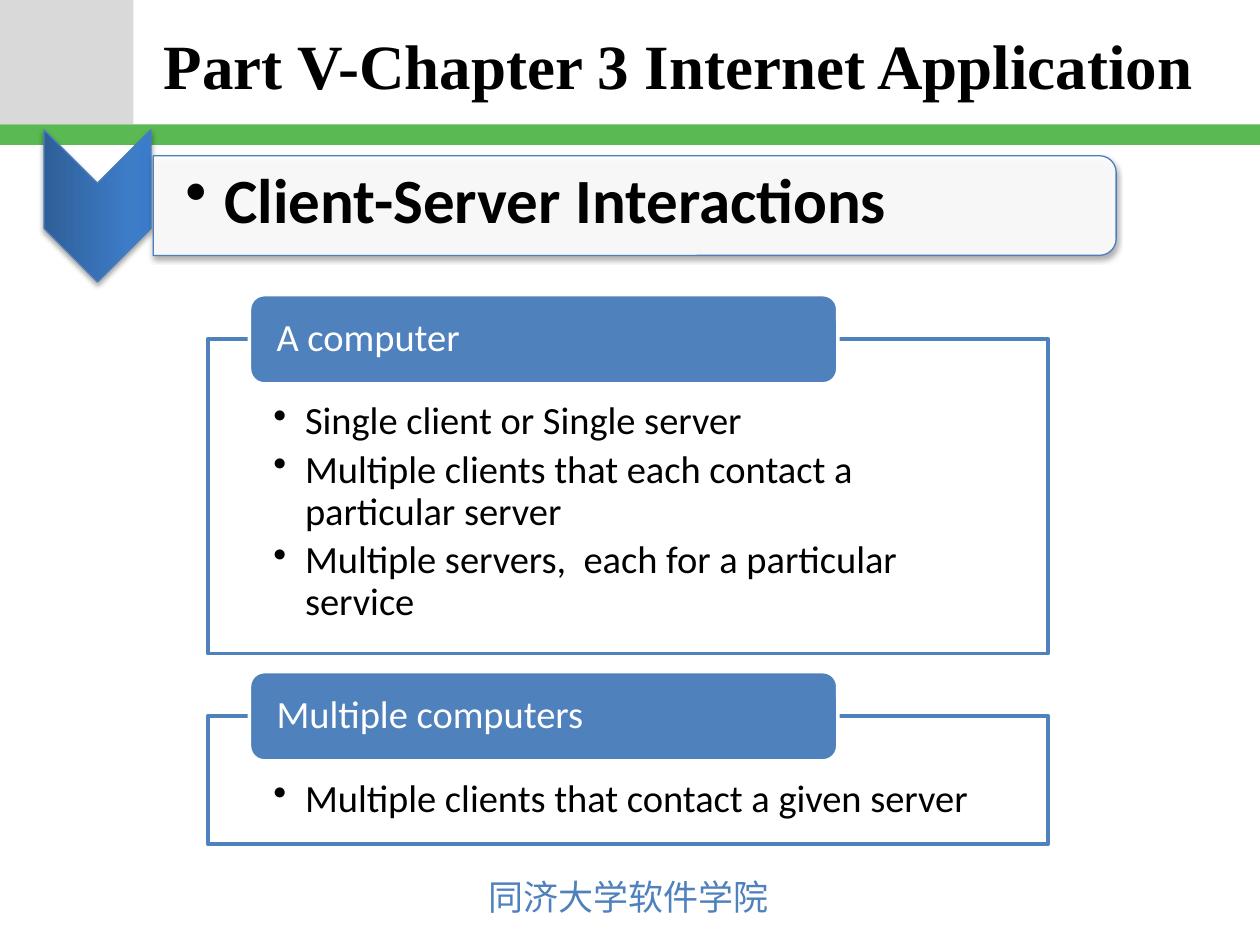
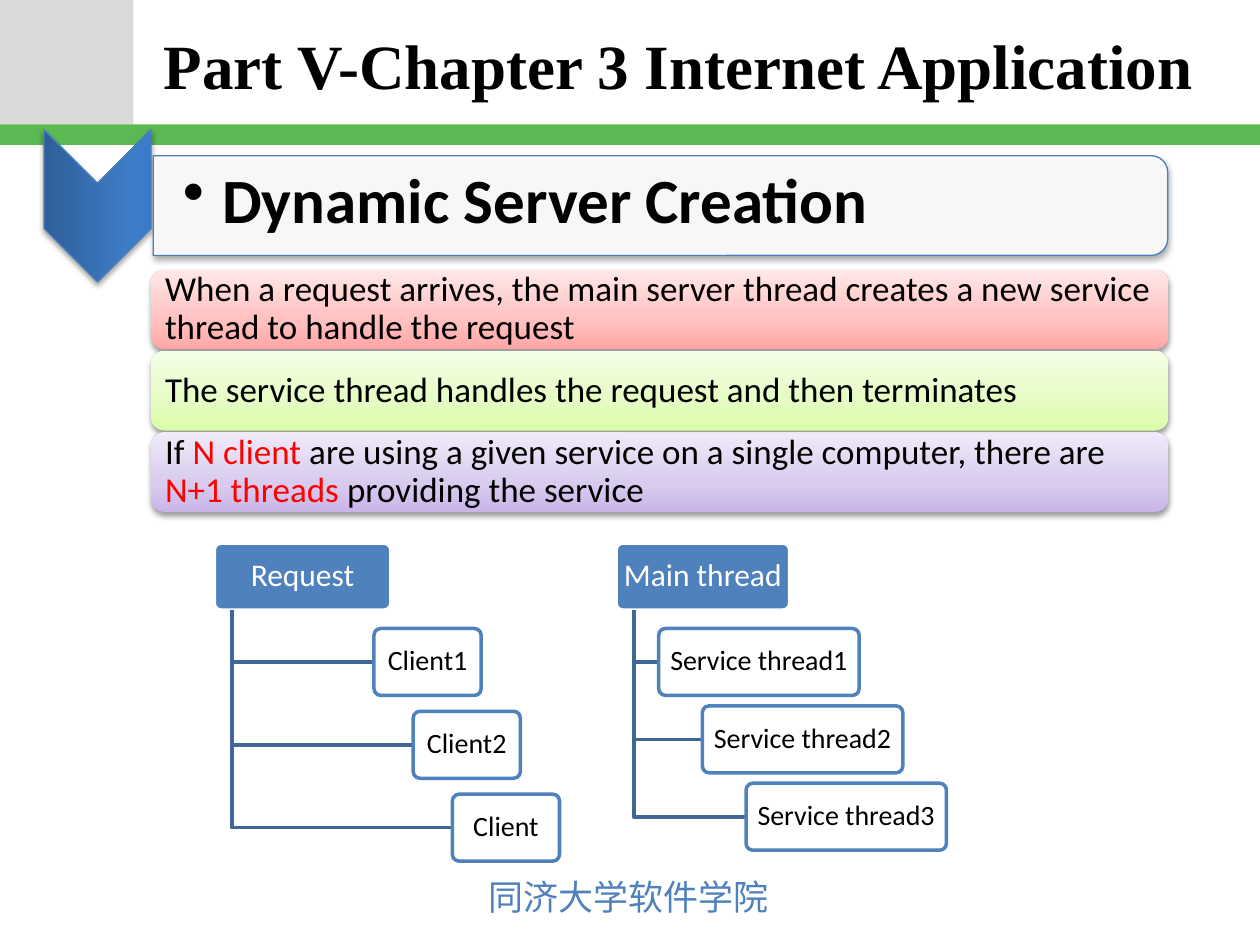
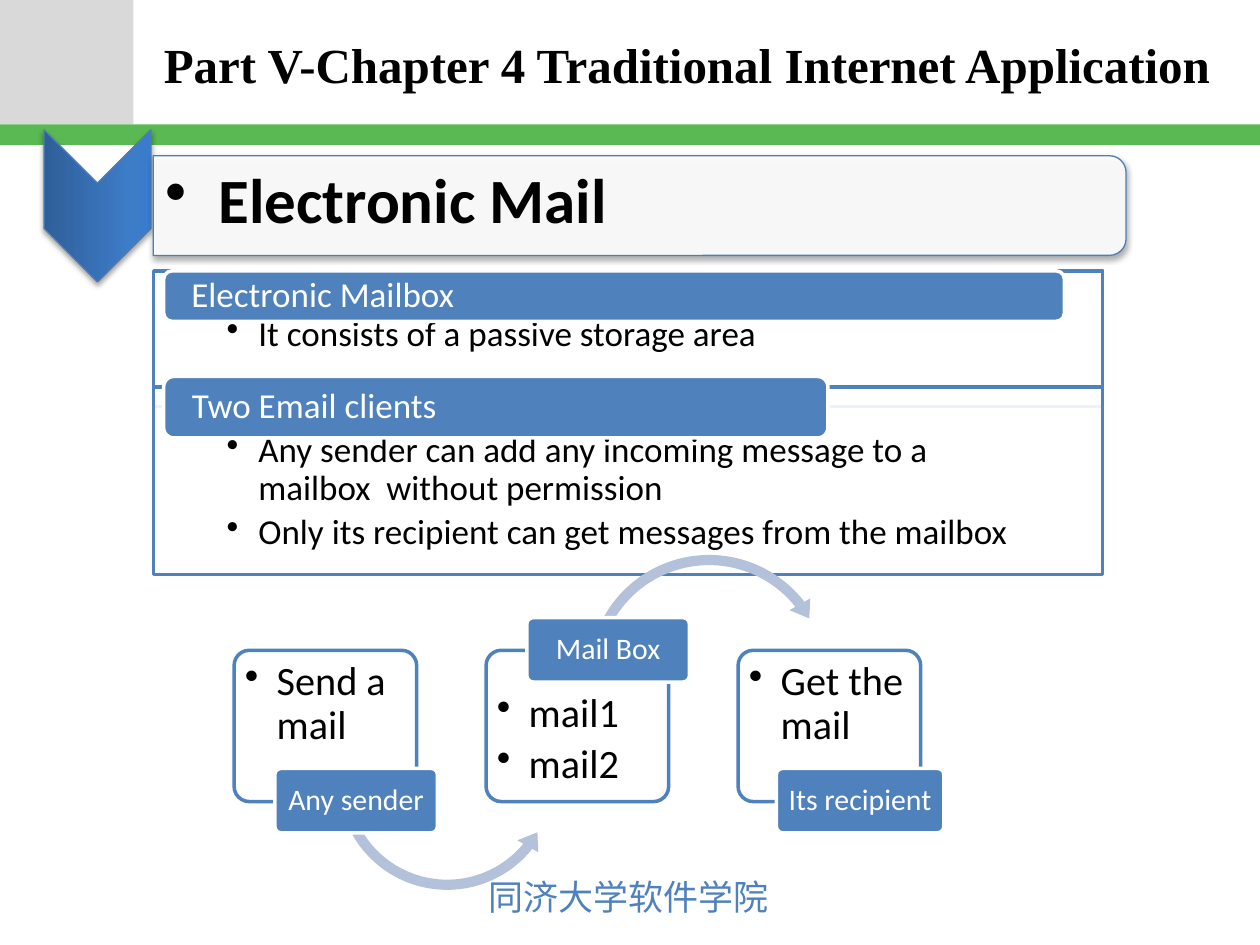
from lxml import etree
from pptx import Presentation
from pptx.dml.color import RGBColor
from pptx.enum.shapes import MSO_SHAPE
from pptx.enum.text import MSO_ANCHOR, MSO_AUTO_SIZE, PP_ALIGN
from pptx.oxml.ns import qn
from pptx.util import Cm, Pt

RECT = MSO_SHAPE.RECTANGLE
ROUND = MSO_SHAPE.ROUNDED_RECTANGLE
CHEVRON = MSO_SHAPE.CHEVRON
TWO_ROUND = MSO_SHAPE.ROUND_2_SAME_RECTANGLE
ARROW_OVER = MSO_SHAPE.CIRCULAR_ARROW
ARROW_UNDER = MSO_SHAPE.LEFT_CIRCULAR_ARROW
TOP, MIDDLE = MSO_ANCHOR.TOP, MSO_ANCHOR.MIDDLE
LEFT, CENTER = PP_ALIGN.LEFT, PP_ALIGN.CENTER

COLORS = {
    "white": "FFFFFF", "black": "000000", "red": "FF0000",
    "gray": "D9D9D9", "green": "5AB953", "blue": "4F81BD",
    "edge": "4B7EBC", "branch": "3F6797", "arrow": "B3C1DB",
}
# Gradient stops as (percent, colour), running from bottom to top
GRADIENTS = {
    "chevron": [(0, "2F5F99"), (80, "3D7CC7"), (100, "3A7CCB")],
    "pink": [(0, "FFA6A5"), (35, "FFC0BF"), (100, "FFE7E7")],
    "lime": [(0, "DAFDA7"), (35, "E4FCC2"), (100, "F5FFE7")],
    "violet": [(0, "C9B5E8"), (35, "D8CBEE"), (100, "F0EAF9")],
}
BODY_FONT, TITLE_FONT, CJK_FONT = "Calibri", "Times New Roman", "Noto Sans CJK JP"
TAB_RISE = 0.89


def rgb(name):
    return RGBColor.from_string(COLORS[name])


class Deck:
    """Holds the shared style and the slide being drawn."""

    def __init__(self):
        self.prs = Presentation()
        self.prs.slide_width, self.prs.slide_height = Cm(25.4), Cm(19.05)
        self.layout = self.prs.slide_layouts[5]
        self.slide = None

    def add_slide(self, title, size, heading, bar_width, text_x):
        first = self.slide is None
        self.slide = self.prs.slides.add_slide(self.layout)
        if first:
            self.fill_layout()
        sp = self.slide.shapes.title
        sp.left, sp.top, sp.width, sp.height = Cm(3.05), Cm(0.05), Cm(21.84), Cm(2.49)
        tf = sp.text_frame
        tf.auto_size = MSO_AUTO_SIZE.NONE
        tf.vertical_anchor = MIDDLE
        p = tf.paragraphs[0]
        p.text, p.alignment = title, LEFT
        self.style(p.runs[0], size, "black", True, TITLE_FONT)
        self.heading(heading, bar_width, text_x)

    def fill_layout(self):
        """Draw the bands and the footer once and move them to the layout."""
        band = self.shape(RECT, 0, 0, 2.69, 2.51, "gray")
        stripe = self.shape(RECT, 0, 2.51, 25.4, 0.41, "green")
        footer = self.slide.shapes.add_textbox(Cm(9.6), Cm(17.53), Cm(6.22), Cm(1.12))
        p = footer.text_frame.paragraphs[0]
        p.text = "同济大学软件学院"
        self.style(p.runs[0], 20, "blue", font=CJK_FONT)
        for sp in (band, stripe, footer):
            self.layout.shapes.element.append(sp.element)

    def style(self, r, size, color, bold=False, font=BODY_FONT):
        r.font.name, r.font.size, r.font.bold = font, Pt(size), bold
        r.font.color.rgb = rgb(color)
        if font == CJK_FONT:
            etree.SubElement(r.font._element, qn("a:ea"), typeface=font)

    def shape(self, kind, x, y, w, h, fill, line=None, width=2, adj=(),
              alpha=None, shadow=None):
        sp = self.slide.shapes.add_shape(kind, Cm(x), Cm(y), Cm(w), Cm(h))
        for i, value in enumerate(adj):
            sp.adjustments[i] = value
        if fill in GRADIENTS:
            self.gradient(sp, GRADIENTS[fill])
        else:
            sp.fill.solid()
            sp.fill.fore_color.rgb = rgb(fill)
        if alpha:
            color = sp.element.spPr.find(qn("a:solidFill"))[0]
            etree.SubElement(color, qn("a:alpha"), val=str(alpha * 1000))
        if line:
            sp.line.color.rgb, sp.line.width = rgb(line), Pt(width)
        else:
            sp.line.fill.background()
        sp.shadow.inherit = False
        if shadow:
            self.drop_shadow(sp, *shadow)
        return sp

    def gradient(self, sp, stops):
        grad = etree.SubElement(sp.element.spPr, qn("a:gradFill"), rotWithShape="1")
        stop_list = etree.SubElement(grad, qn("a:gsLst"))
        for percent, color in stops:
            gs = etree.SubElement(stop_list, qn("a:gs"), pos=str(percent * 1000))
            etree.SubElement(gs, qn("a:srgbClr"), val=color)
        etree.SubElement(grad, qn("a:lin"), ang="16200000", scaled="0")

    def drop_shadow(self, sp, opacity, distance):
        effects = sp.element.spPr.find(qn("a:effectLst"))
        outer = etree.SubElement(effects, qn("a:outerShdw"), blurRad=str(Pt(3.1)),
                                 dist=str(Pt(distance)), dir="5400000", rotWithShape="0")
        color = etree.SubElement(outer, qn("a:srgbClr"), val=COLORS["black"])
        etree.SubElement(color, qn("a:alpha"), val=str(opacity * 1000))

    def text(self, sp, paragraphs, size, color="black", bold=False, align=LEFT,
             anchor=MIDDLE, insets=(0, 0, 0, 0), indent=0):
        """Fill a shape; a paragraph is a string or a list of (text, colour)."""
        tf = sp.text_frame
        tf.word_wrap, tf.vertical_anchor = True, anchor
        tf.margin_left, tf.margin_top, tf.margin_right, tf.margin_bottom = map(Cm, insets)
        for i, content in enumerate(paragraphs):
            p = tf.add_paragraph() if i else tf.paragraphs[0]
            if indent:
                pPr = p._p.get_or_add_pPr()
                pPr.set("marL", str(Cm(indent)))
                pPr.set("indent", str(-Cm(indent)))
                etree.SubElement(pPr, qn("a:buChar"), char="•")
            p.alignment, p.line_spacing = align, 0.9
            if i:
                p.space_before = Pt(round(size * 0.18))
            runs = [(content, color)] if isinstance(content, str) else content
            for words, run_color in runs:
                r = p.add_run()
                r.text = words
                self.style(r, size, run_color, bold)

    def heading(self, words, w, text_x):
        """Chevron and the bar beside it, rounded at its right end."""
        shadow = (35, 1.8)
        chevron = self.shape(CHEVRON, 0.43, 3.07, 3.07, 2.16, "chevron", "edge", 0.75,
                             shadow=shadow)
        x, y, h = 3.09, 3.14, 2.01
        shift = (w - h) / 2
        bar = self.shape(TWO_ROUND, x + shift, y - shift, h, w, "white", "edge", 0.75,
                         alpha=90, shadow=shadow)
        chevron.rotation = bar.rotation = 90
        box = self.slide.shapes.add_textbox(Cm(text_x), Cm(3.2), Cm(w - 0.1), Cm(1.8))
        self.text(box, [words], 36, bold=True, insets=(0.64, 0.05, 0.05, 0.05), indent=0.79)

    def panel(self, x, y, w, h, items, size, insets):
        sp = self.shape(RECT, x, y, w, h, "white", "blue", alpha=90)
        self.text(sp, items, size, anchor=TOP, insets=insets, indent=0.64)

    def tab(self, x, y, w, h, words, size, inset):
        sp = self.shape(ROUND, x, y, w, h, "blue", "white")
        self.text(sp, [words], size, "white", insets=(inset, 0, inset, 0))

    def label(self, x, y, w, h, words, size):
        sp = self.shape(ROUND, x, y, w, h, "blue", "white", adj=[0.1])
        self.text(sp, [words], size, "white", align=CENTER, insets=(0.1, 0.06, 0.1, 0.06))

    def node(self, x, y, w, h, words):
        sp = self.shape(ROUND, x, y, w, h, "white", "blue", adj=[0.1], alpha=90)
        self.text(sp, [words], 16, align=CENTER, insets=(0.08, 0.05, 0.08, 0.05))

    def card(self, x, y, w, h, items, top):
        sp = self.shape(ROUND, x, y, w, h, "white", "blue", adj=[0.1], alpha=90)
        self.text(sp, items, 23, anchor=TOP, insets=(0.13, top, 0.13, 0.13), indent=0.64)

    def message(self, y, content, fill):
        sp = self.shape(ROUND, 3.05, y, 20.5, 1.6, fill, shadow=(38, 1.6))
        self.text(sp, [content], 20, insets=(0.2, 0.2, 0.2, 0.2))

    def branch(self, x, y, end_x, end_y):
        builder = self.slide.shapes.build_freeform(Cm(x), Cm(y))
        builder.add_line_segments([(Cm(x), Cm(end_y)), (Cm(end_x), Cm(end_y))], close=False)
        sp = builder.convert_to_shape()
        sp.fill.background()
        sp.line.color.rgb, sp.line.width = rgb("branch"), Pt(2)
        sp.shadow.inherit = False

    def tree(self, x, w, root, names, child_x, child_w, step_x, step_y):
        """Root with children that step down and to the right."""
        y, h = 10.95, 1.35
        self.label(x, y, w, h, root, 18)
        for i, name in enumerate(names):
            left, top = child_x + i * step_x, 12.67 + i * step_y
            self.branch(x + 0.36, y + h, left, top + h / 2)
            self.node(left, top, child_w, h, name)


def interactions_slide(deck):
    deck.add_slide("Part V-Chapter 3 Internet Application", 36,
                   "Client-Server Interactions", 19.41, 3.1)
    groups = [
        (6.83, 6.35, "A computer",
         ["Single client or Single server",
          "Multiple clients that each contact a particular server",
          "Multiple servers,  each for a particular service"]),
        (14.43, 2.59, "Multiple computers",
         ["Multiple clients that contact a given server"]),
    ]
    for y, h, name, items in groups:
        deck.panel(4.19, y, 16.94, h, items, 22, (1.32, 1.27, 1.32, 0))
        deck.tab(5.03, y - TAB_RISE, 11.86, 1.8, name, 22, 0.46)


def dynamic_slide(deck):
    deck.add_slide("Part V-Chapter 3 Internet Application", 36,
                   "Dynamic Server Creation", 20.45, 3.05)
    messages = [
        ("When a request arrives, the main server thread creates a new service "
         "thread to handle the request", "pink"),
        ("The service thread handles the request and then terminates", "lime"),
        ([("If ", "black"), ("N client ", "red"),
          ("are using a given service on a single computer, there are ", "black"),
          ("N+1 threads ", "red"), ("providing the service", "black")], "violet"),
    ]
    for i, (content, fill) in enumerate(messages):
        deck.message(5.44 + i * 1.64, content, fill)
    deck.tree(4.32, 3.56, "Request", ["Client1", "Client2", "Client"],
              7.54, 2.16, 0.79, 1.67)
    deck.tree(12.42, 3.5, "Main thread", [f"Service thread{n}" for n in (1, 2, 3)],
              13.28, 4.04, 0.88, 1.56)


def mail_slide(deck):
    deck.add_slide("Part V-Chapter 4 Traditional Internet Application", 28,
                   " Electronic Mail", 19.61, 2.69)
    groups = [
        (5.46, 2.74, ["It consists of a passive storage area"],
         (5.46, 18.16, 1.02, "Electronic Mailbox")),
        (7.8, 3.78, ["Any sender can add any incoming message to a mailbox  without permission",
                     "Only its recipient can get messages from the mailbox"],
         (7.59, 13.39, 1.24, "Two Email clients")),
    ]
    for y, h, items, (tab_y, tab_w, tab_h, name) in groups:
        deck.panel(3.1, y, 19.13, h, items, 20, (1.47, 0.91, 1.47, 0))
        deck.tab(3.3, tab_y, tab_w, tab_h, name, 20, 0.51)

    under = (ARROW_UNDER, 6.68, 13.41, 4.67, [0.044, 5.632, 23.387, 90.245, 0.052])
    over = (ARROW_OVER, 11.73, 11.05, 5.13, [0.04, 5.065, 193.18, 125.755, 0.047])
    steps = [
        (["Send a mail"], 0.13, under, "Any sender", 15.49, 3.28),
        (["mail1", "mail2"], 0.77, over, "Mail Box", 12.45, 3.28),
        (["Get the mail"], 0.13, None, "Its recipient", 15.49, 3.38),
    ]
    for i, (items, top, arrow, name, label_y, label_w) in enumerate(steps):
        x = 4.72 + i * 5.08
        deck.card(x, 13.11, 3.68, 3.05, items, top)
        if arrow:
            kind, left, arrow_y, side, adj = arrow
            deck.shape(kind, left, arrow_y, side, side, "arrow", adj=adj)
        deck.label(x + 2.46 - label_w / 2, label_y, label_w, 1.3, name, 17)


def main():
    deck = Deck()
    interactions_slide(deck)
    dynamic_slide(deck)
    mail_slide(deck)
    deck.prs.save("out.pptx")


if __name__ == "__main__":
    main()
